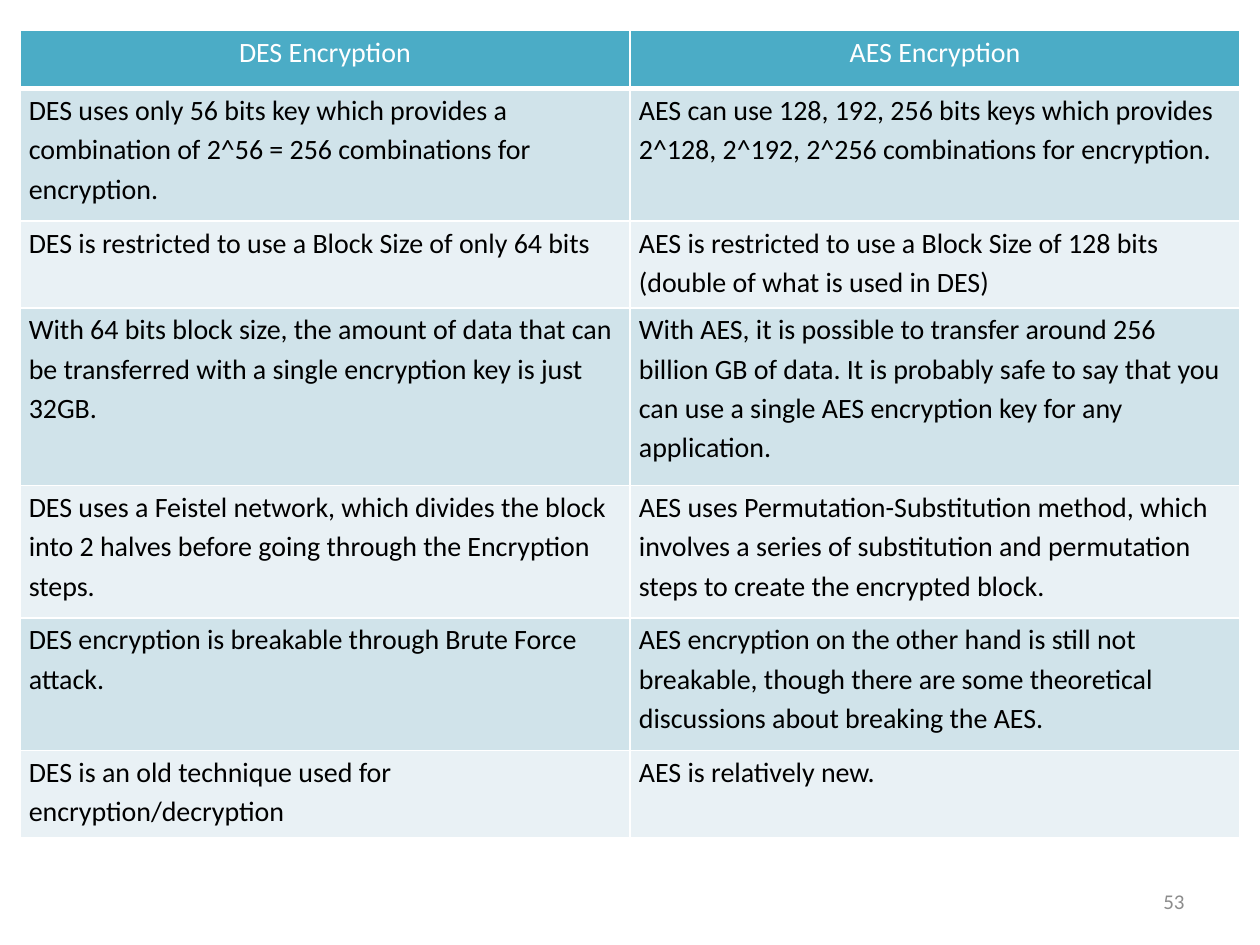
import dataclasses

import lxml.etree
import pptx
import pptx.dml.color
import pptx.enum.text
import pptx.oxml.ns
import pptx.util

Cm = pptx.util.Cm
Pt = pptx.util.Pt
ALIGN = pptx.enum.text.PP_ALIGN
ANCHOR = pptx.enum.text.MSO_ANCHOR


@dataclasses.dataclass(frozen=True)
class Theme:
    font: str = "Calibri"
    table_size: int = 16
    number_size: int = 12
    header_fill: str = "4BACC6"
    band_fills: tuple = ("D0E3EA", "E9F1F5")
    light: str = "FFFFFF"
    dark: str = "000000"
    muted: str = "8C8C8C"


COMPARISON = [
    ("DES Encryption", "AES Encryption"),
    ("DES uses only 56 bits key which provides a combination of 2^56 = 256 combinations for encryption.",
     "AES can use 128, 192, 256 bits keys which provides 2^128, 2^192, 2^256 combinations for encryption."),
    ("DES is restricted to use a Block Size of only 64 bits",
     "AES is restricted to use a Block Size of 128 bits (double of what is used in DES)"),
    ("With 64 bits block size, the amount of data that can be transferred with a single encryption key is just 32GB.",
     "With AES, it is possible to transfer around 256 billion GB of data. It is probably safe to say that you can "
     "use a single AES encryption key for any application."),
    ("DES uses a Feistel network, which divides the block into 2 halves before going through the Encryption steps.",
     "AES uses Permutation-Substitution method, which involves a series of substitution and permutation steps to "
     "create the encrypted block."),
    ("DES encryption is breakable through Brute Force attack.",
     "AES encryption on the other hand is still not breakable, though there are some theoretical discussions about "
     "breaking the AES."),
    ("DES is an old technique used for encryption/decryption", "AES is relatively new."),
]
ROW_HEIGHTS = [1.19, 2.67, 1.75, 3.58, 2.67, 2.67, 1.75]
COLUMN_WIDTH = 12.3


def apply_format(target, values):
    for name, value in values.items():
        setattr(target, name, value)


class SlideBuilder:
    """Draws elements on one slide in the style of a theme."""

    def __init__(self, slide, theme):
        self.slide = slide
        self.theme = theme

    def add_text(self, frame, text, size, color, paragraph_format):
        paragraph = frame.paragraphs[0]
        apply_format(paragraph, paragraph_format)
        run = paragraph.add_run()
        run.text = text
        apply_format(run.font, {"name": self.theme.font, "size": Pt(size)})
        run.font.color.rgb = pptx.dml.color.RGBColor.from_string(color)

    def border(self, cell, widths):
        """Draws cell edges; widths maps L, R, T and B to points."""
        properties = cell._tc.get_or_add_tcPr()
        qn = pptx.oxml.ns.qn
        for side, width in widths.items():
            line = lxml.etree.SubElement(properties, qn(f"a:ln{side}"), w=str(Pt(width)))
            fill = lxml.etree.SubElement(line, qn("a:solidFill"))
            lxml.etree.SubElement(fill, qn("a:srgbClr"), val=self.theme.light)

    def cell(self, cell, text, row):
        theme = self.theme
        if row == 0:
            fill, color, bottom = theme.header_fill, theme.light, 3
            paragraph_format = {"alignment": ALIGN.CENTER}
        else:
            fill, color, bottom = theme.band_fills[(row - 1) % 2], theme.dark, 1
            paragraph_format = {"line_spacing": 1.15}
            apply_format(cell, {"margin_left": Cm(0.18), "margin_right": Cm(0.18),
                                "margin_top": 0, "margin_bottom": 0})
        self.border(cell, {"L": 1, "R": 1, "T": 1, "B": bottom})
        cell.fill.solid()
        cell.fill.fore_color.rgb = pptx.dml.color.RGBColor.from_string(fill)
        self.add_text(cell.text_frame, text, theme.table_size, color, paragraph_format)

    def table(self, left, top, column_width, row_heights, rows):
        columns = len(rows[0])
        table = self.slide.shapes.add_table(
            len(rows), columns, Cm(left), Cm(top),
            Cm(column_width * columns), Cm(sum(row_heights))).table
        for column in table.columns:
            column.width = Cm(column_width)
        for index, (height, texts) in enumerate(zip(row_heights, rows)):
            table.rows[index].height = Cm(height)
            for column, text in enumerate(texts):
                self.cell(table.cell(index, column), text, index)

    def page_number(self, left, top, width, height, number):
        frame = self.slide.shapes.add_textbox(Cm(left), Cm(top), Cm(width), Cm(height)).text_frame
        apply_format(frame, {"word_wrap": True, "vertical_anchor": ANCHOR.MIDDLE})
        self.add_text(frame, number, self.theme.number_size, self.theme.muted, {"alignment": ALIGN.RIGHT})


def main():
    deck = pptx.Presentation()
    apply_format(deck, {"slide_width": Cm(25.4), "slide_height": Cm(19.05)})
    blank_layout = deck.slide_layouts[6]
    builder = SlideBuilder(deck.slides.add_slide(blank_layout), Theme())
    builder.table(0.4, 0.6, COLUMN_WIDTH, ROW_HEIGHTS, COMPARISON)
    builder.page_number(18.2, 17.66, 5.93, 1.01, "53")
    deck.save("out.pptx")


if __name__ == "__main__":
    main()
